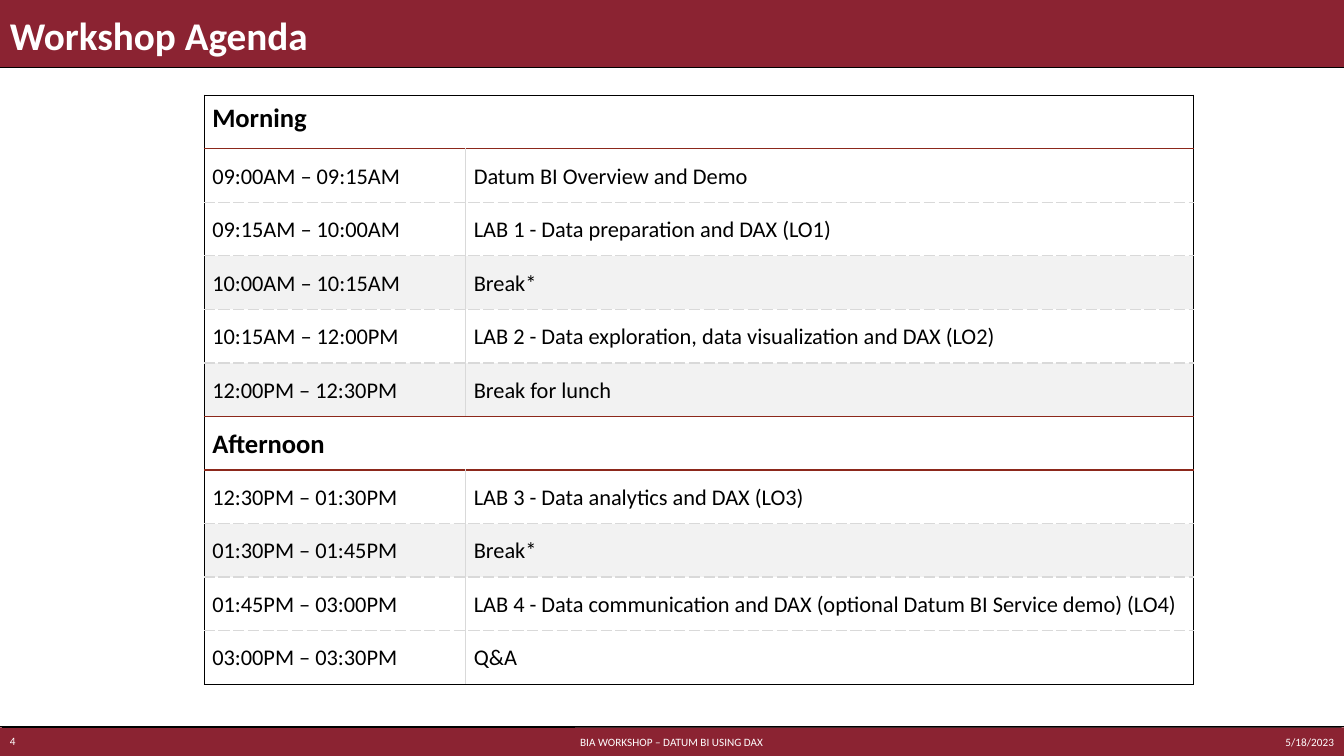
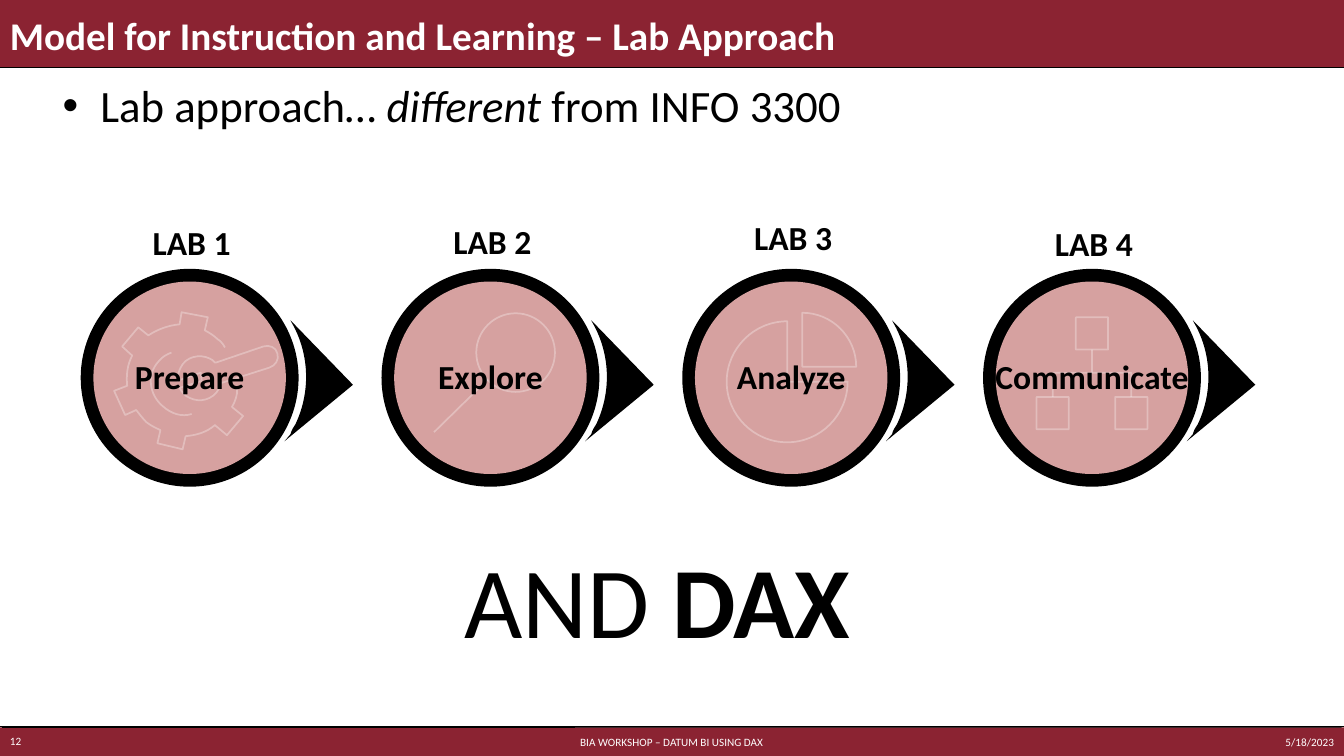
from dataclasses import dataclass, field

from lxml import etree
from pptx import Presentation
from pptx import util as u
from pptx.dml.color import RGBColor
from pptx.enum import shapes, text
from pptx.oxml import ns

Cm, Pt = u.Cm, u.Pt
LEFT, CENTER, RIGHT = text.PP_ALIGN.LEFT, text.PP_ALIGN.CENTER, text.PP_ALIGN.RIGHT
TOP, MIDDLE = text.MSO_ANCHOR.TOP, text.MSO_ANCHOR.MIDDLE


@dataclass(frozen=True)
class Theme:
    width: float = 33.87
    height: float = 19.05
    font: str = "Calibri"
    band: str = "8B2332"
    ink: str = "000000"
    paper: str = "FFFFFF"
    rose: str = "D6A1A0"
    session_rule: str = "8C281B"
    grid: str = "D9D9D9"
    shade: str = "F2F2F2"
    formats: dict = field(default_factory=lambda: {
        "title": {"size": Pt(28), "bold": True},
        "footer": {"size": Pt(8)},
        "session": {"size": Pt(19), "bold": True},
        "cell": {"size": Pt(16), "bold": False},
        "bullet": {"size": Pt(32)},
        "bullet accent": {"size": Pt(32), "italic": True},
        "stage": {"size": Pt(24), "bold": True},
        "slogan": {"size": Pt(72)},
        "slogan accent": {"size": Pt(72), "bold": True},
    })


def element(parent, tag, **attributes):
    return etree.SubElement(parent, ns.qn(tag), attributes)


def arc(x, y, radius, quarters, direction=(1, 0), pull=0.55):
    c, s = direction
    parts = [(x + radius * c, y + radius * s)]
    for _ in range(quarters):
        parts.append((x + radius * (c - pull * s), y + radius * (s + pull * c),
                      x + radius * (pull * c - s), y + radius * (c + pull * s),
                      x - radius * s, y + radius * c))
        c, s = -s, c
    return parts


def square(x, y, half=16):
    return [(x - half, y - half), (x + half, y - half), (x + half, y + half),
            (x - half, y + half), (x - half, y - half)]


class Deck:
    def __init__(self, theme):
        self.theme = theme
        self.presentation = Presentation()
        self.presentation.slide_width = Cm(theme.width)
        self.presentation.slide_height = Cm(theme.height)
        self.slide = None

    def new_slide(self, title, number):
        t = self.theme
        self.slide = self.presentation.slides.add_slide(self.presentation.slide_layouts[6])
        self.shape(shapes.MSO_SHAPE.RECTANGLE, (0, 0, t.width, 1.7), t.band)
        self.shape(shapes.MSO_SHAPE.RECTANGLE, (0, 18.33, t.width, 0.72), t.band)
        self.line((0, 18.31), (t.width, 18.31), 1)
        self.line((0, 1.7), (t.width, 1.7), 1)
        self.line((0.05, 18.33), (33.81, 18.32), 0.75)
        self.text((0, 0.05, t.width, 1.65), [(title, "title")], t.paper, anchor=MIDDLE)
        footers = (
            ((11, 18.39, 11.86, 0.61), "BIA WORKSHOP – DATUM BI USING DAX", CENTER),
            ((0, 18.31, 1.63, 0.71), number, LEFT),
            ((24.5, 18.31, 9.37, 0.76), "5/18/2023", RIGHT),
        )
        for box, words, align in footers:
            self.text(box, [(words, "footer")], t.paper, align, MIDDLE)

    def paint(self, shape, fill):
        shape.shadow.inherit = False
        shape.line.fill.background()
        shape.fill.solid()
        shape.fill.fore_color.rgb = RGBColor.from_string(fill)

    def shape(self, kind, box, fill):
        self.paint(self.slide.shapes.add_shape(kind, *map(Cm, box)), fill)

    def line(self, start, end, width):
        rule = self.slide.shapes.add_connector(
            shapes.MSO_CONNECTOR.STRAIGHT, *map(Cm, start + end))
        rule.line.width = Pt(width)
        rule.line.color.rgb = RGBColor.from_string(self.theme.ink)
        element(rule._element.spPr, "a:effectLst")

    def runs(self, paragraph, pieces, color):
        for words, style in pieces:
            run = paragraph.add_run()
            run.text = words
            values = {"name": self.theme.font, **self.theme.formats[style]}
            for attribute, value in values.items():
                setattr(run.font, attribute, value)
            run.font.color.rgb = RGBColor.from_string(color)

    def text(self, box, pieces, color, align=LEFT, anchor=TOP, bullet=False, **frame_values):
        frame = self.slide.shapes.add_textbox(*map(Cm, box)).text_frame
        values = {"word_wrap": True, "vertical_anchor": anchor, **frame_values}
        for attribute, value in values.items():
            setattr(frame, attribute, value)
        paragraph = frame.paragraphs[0]
        paragraph.alignment = align
        if bullet:
            properties = paragraph._p.get_or_add_pPr()
            properties.set("marL", str(Cm(0.95)))
            properties.set("indent", str(-Cm(0.95)))
            element(properties, "a:buFont", typeface="Arial")
            element(properties, "a:buChar", char="•")
        self.runs(paragraph, pieces, color)

    def outline(self, center, contours, closed):
        fine = 100
        scaled = [[tuple(round(v * fine) for v in part) for part in c] for c in contours]
        builder = self.slide.shapes.build_freeform(*scaled[0][0], scale=Cm(2.54) / 100 / fine)
        for index, contour in enumerate(scaled):
            if index:
                builder.move_to(*contour[0])
            builder.add_line_segments([part[-2:] for part in contour[1:]], close=closed)
        drawing = builder.convert_to_shape(*map(Cm, center))
        anchors = [part[-2:] for contour in scaled for part in contour]
        left, top = (min(values) for values in zip(*anchors))
        segments = [part for contour in scaled for part in contour[1:]]
        for segment, part in zip(list(drawing._element.iter(ns.qn("a:lnTo"))), segments):
            if len(part) == 6:
                segment.tag = ns.qn("a:cubicBezTo")
                for point in list(segment):
                    segment.remove(point)
                for x, y in zip(part[::2], part[1::2]):
                    element(segment, "a:pt", x=str(x - left), y=str(y - top))
        return drawing

    def pointer(self, center, contour):
        self.paint(self.outline(center, [contour], True), self.theme.ink)

    def icon(self, center, contours):
        drawing = self.outline(center, contours, False)
        drawing.shadow.inherit = False
        drawing.fill.background()
        drawing.line.width = Pt(1.25)
        drawing.line.color.rgb = RGBColor.from_string(self.theme.paper)
        color = drawing.line._ln.find(".//" + ns.qn("a:srgbClr"))
        element(color, "a:alpha", val="30000")

    def borders(self, cell, sides):
        properties = cell._tc.get_or_add_tcPr()
        for side in "LRTB":
            color, dash = sides[side]
            edge = element(properties, f"a:ln{side}", w=str(Pt(1)))
            element(element(edge, "a:solidFill"), "a:srgbClr", val=color)
            element(edge, "a:prstDash", val=dash)

    def agenda(self, box, widths, rows):
        t = self.theme
        outer, inner = (t.ink, "solid"), (t.grid, "solid")
        count = len(rows)

        def rule(index):
            if index in (0, count):
                return outer
            if None in (rows[index - 1][1], rows[index][1]):
                return t.session_rule, "solid"
            return t.grid, "dash"

        table = self.slide.shapes.add_table(count, len(widths), *map(Cm, box)).table
        table.first_row = table.horz_banding = False
        for column, width in zip(table.columns, widths):
            column.width = Cm(width)
        for r, entry in enumerate(rows):
            table.rows[r].height = Cm(box[3] / count)
            session = entry[1] is None
            if session:
                table.cell(r, 0).merge(table.cell(r, 1))
            for c, words in enumerate(entry):
                cell = table.cell(r, c)
                middle = outer if session else inner
                self.borders(cell, {"L": middle if c else outer, "R": outer if c else middle,
                                    "T": rule(r), "B": rule(r + 1)})
                if not session and entry[1].startswith("Break"):
                    cell.fill.solid()
                    cell.fill.fore_color.rgb = RGBColor.from_string(t.shade)
                else:
                    cell.fill.background()
                values = {"margin_left": Cm(0.2), "margin_right": Cm(0.2),
                          "margin_top": Cm(0.13), "margin_bottom": Cm(0.13),
                          "vertical_anchor": MIDDLE if r else TOP}
                for attribute, value in values.items():
                    setattr(cell, attribute, value)
                if words:
                    paragraph = cell.text_frame.paragraphs[0]
                    paragraph.line_spacing = 1.07
                    self.runs(paragraph, [(words, "session" if session else "cell")], t.ink)

    def stage(self, center, lab, lab_top, word, contours):
        x, y = center
        for diameter, fill in ((5.49, self.theme.ink), (4.85, self.theme.rose)):
            corner = (x - diameter / 2, y - diameter / 2)
            self.shape(shapes.MSO_SHAPE.OVAL, corner + (diameter, diameter), fill)
        self.pointer(center, POINTER)
        self.icon(center, contours)
        labels = ((word, x, 8.84, 5.1), (lab, x + 0.05, lab_top, 2.5))
        for words, middle, top, width in labels:
            self.text((middle - width / 2, top, width, 1.27), [(words, "stage")],
                      self.theme.ink, CENTER, margin_left=0, margin_right=0)


AGENDA = [
    ("Morning", None),
    ("09:00AM – 09:15AM", "Datum BI Overview and Demo"),
    ("09:15AM – 10:00AM", "LAB 1 - Data preparation and DAX (LO1)"),
    ("10:00AM – 10:15AM", "Break*"),
    ("10:15AM – 12:00PM", "LAB 2 - Data exploration, data visualization and DAX (LO2)"),
    ("12:00PM – 12:30PM", "Break for lunch"),
    ("Afternoon", None),
    ("12:30PM – 01:30PM", "LAB 3 - Data analytics and DAX (LO3)"),
    ("01:30PM – 01:45PM", "Break*"),
    ("01:45PM – 03:00PM",
     "LAB 4 - Data communication and DAX (optional Datum BI Service demo) (LO4)"),
    ("03:00PM – 03:30PM", "Q&A"),
]

POINTER = [(100, -57), (162, 7), (94, 63), (100, 56), (101, 52, 103, 49, 105, 46),
           (121, 12, 118, -26, 101, -55)]
GEAR = [
    [(47, 10), (48, 16, 45, 24, 42, 29), (53, 38), (37, 57), (25, 47),
     (17, 54, 7, 57, -4, 58), (-7, 71), (-32, 65), (-29, 52), (-33, 50, -38, 48, -43, 44),
     (-46, 41, -50, 36, -53, 32), (-64, 37), (-75, 13), (-62, 8),
     (-63, -2, -62, -13, -57, -22), (-67, -31), (-51, -50), (-41, -42),
     (-32, -48, -21, -52, -10, -53), (-8, -65), (18, -60), (15, -47),
     (19, -45, 24, -42, 28, -38), (30, -37, 33, -34, 35, -30)],
    [(-18, -25), (-23, -23, -27, -21, -31, -16), (-43, -3, -40, 17, -27, 28),
     (-18, 36, -8, 39, 2, 36)],
    [(32, 5), (79, -10), (85, -12, 89, -18, 87, -24), (86, -30, 79, -33, 73, -31),
     (26, -15), (25, -15), (24, -17, 22, -18, 20, -19), (10, -24, -4, -21, -9, -10),
     (-11, -6, -12, -2, -12, 3), (11, -5), (12, 3), (-10, 10), (-8, 14, -5, 18, 0, 20),
     (10, 25, 23, 22, 29, 11), (30, 9, 31, 7, 31, 6), (32, 5)],
]
MAGNIFIER = [arc(25, -25, 39, 4), [(-56, 54), (-3, 2)]]
PIE = [arc(-4, 4, 60, 3) + [(-4, 4), (56, 4)],
       arc(11, -11, 53.5, 1, (0, -1)) + [(11, -11), (11, -64.5)]]
NETWORK = [square(-39, 35), square(39, 35), square(0, -44), [(0, -28), (0, -5)],
           [(39, 19), (39, -5), (-39, -5), (-39, 19)]]

STAGES = [("LAB 1", 5.47, "Prepare", GEAR), ("LAB 2", 5.44, "Explore", MAGNIFIER),
          ("LAB 3", 5.33, "Analyze", PIE), ("LAB 4", 5.49, "Communicate", NETWORK)]


def main():
    deck = Deck(Theme())
    ink = deck.theme.ink

    deck.new_slide("Workshop Agenda", "4")
    deck.agenda((5.15, 2.4, 24.92, 14.84), (6.59, 18.33), AGENDA)

    deck.new_slide("Model for Instruction and Learning – Lab Approach", "12")
    deck.text((1.33, 1.83, 31.09, 16.38), [("Lab approach… ", "bullet"),
              ("different", "bullet accent"), (" from INFO 3300", "bullet")], ink, bullet=True)
    for index, stage in enumerate(STAGES):
        deck.stage((4.78 + 7.58 * index, 9.52), *stage)
    deck.text((6.63, 13.42, 19.86, 3.33), [("AND ", "slogan"), ("DAX", "slogan accent")],
              ink, CENTER)

    deck.presentation.save("out.pptx")


if __name__ == "__main__":
    main()
